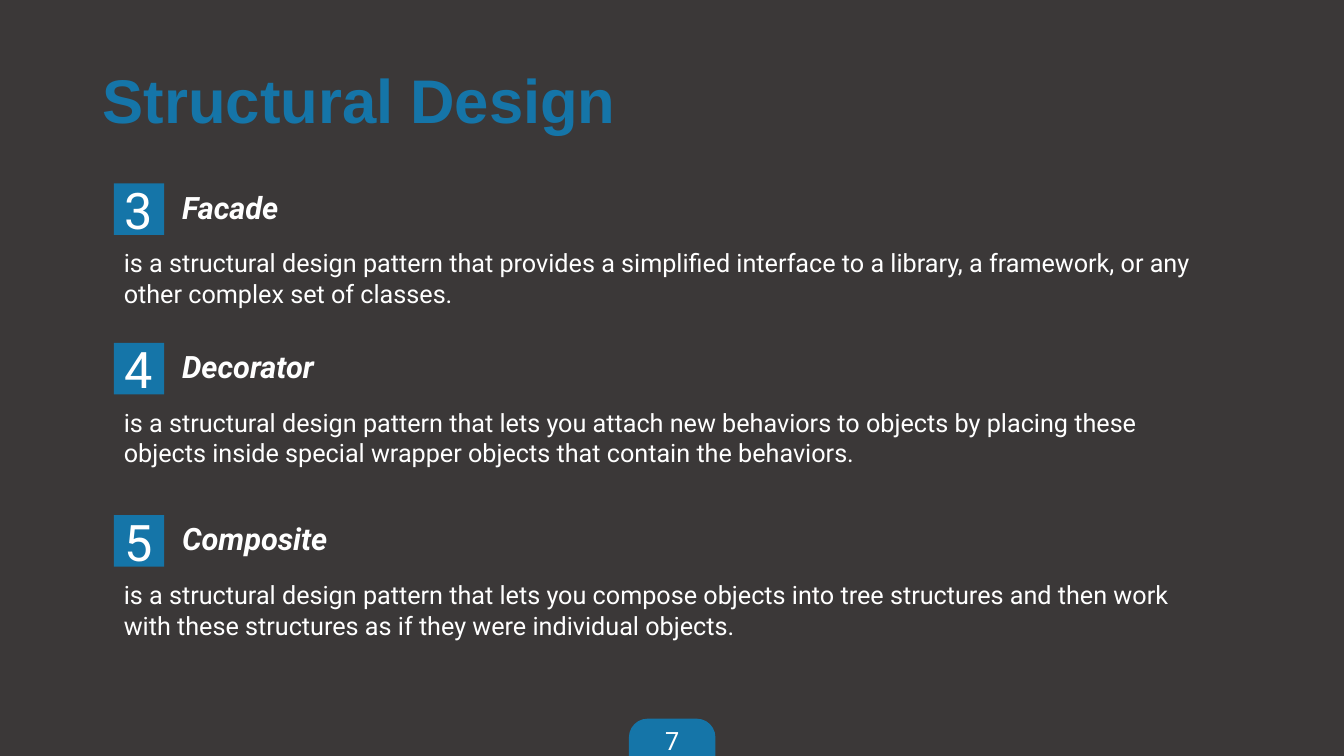
from dataclasses import dataclass

import pptx
import pptx.dml.color
import pptx.enum.shapes
import pptx.enum.text
import pptx.util

Cm = pptx.util.Cm
Shapes = pptx.enum.shapes.MSO_SHAPE
Align = pptx.enum.text.PP_ALIGN
Anchor = pptx.enum.text.MSO_ANCHOR


@dataclass(frozen=True)
class Theme:
    background: str = "3B3838"
    accent: str = "1575A8"
    light: str = "FFFFFF"
    title_font: str = "Arial"
    body_font: str = "Roboto"
    title_size: int = 44
    number_size: int = 36
    name_size: int = 22
    body_size: int = 18


theme = Theme()


def write(box, text, size, font=theme.body_font, color=theme.light,
          bold=False, italic=False, align=Align.LEFT, anchor=Anchor.TOP):
    frame = box.text_frame
    frame.word_wrap = True
    frame.vertical_anchor = anchor
    para = frame.paragraphs[0]
    para.text = text
    para.alignment = align
    para.font.name = font
    para.font.size = pptx.util.Pt(size)
    para.font.bold = bold
    para.font.italic = italic
    para.font.color.rgb = pptx.dml.color.RGBColor.from_string(color)
    return para


def add_label(kind, left, top, width, height, text, size):
    shape = page.shapes.add_shape(kind, Cm(left), Cm(top), Cm(width), Cm(height))
    shape.shadow.inherit = False
    shape.fill.solid()
    shape.fill.fore_color.rgb = pptx.dml.color.RGBColor.from_string(theme.accent)
    shape.line.fill.background()
    write(shape, text, size, align=Align.CENTER, anchor=Anchor.MIDDLE)
    return shape


# Deck and blank page
deck = pptx.Presentation()
deck.slide_width, deck.slide_height = Cm(33.87), Cm(19.05)
page = deck.slides.add_slide(deck.slide_layouts[6])
page.background.fill.solid()
page.background.fill.fore_color.rgb = pptx.dml.color.RGBColor.from_string(theme.background)

# Page number tab
tab = add_label(Shapes.ROUND_2_SAME_RECTANGLE, 15.85, 18.11, 2.18, 0.94,
                "7", theme.body_size)
tab.adjustments[0] = 0.5

# Title
title = page.shapes.add_textbox(Cm(2.34), Cm(0.76), Cm(29.21), Cm(3.68))
heading = write(title, "Structural Design", theme.title_size, theme.title_font,
                theme.accent, bold=True, anchor=Anchor.MIDDLE)
heading.line_spacing = 0.9

# Patterns: top, name width, description height, name, description
patterns = [
    (4.62, 4.17, 2.57, "Facade",
     "is a structural design pattern that provides a simplified interface to a "
     "library, a framework, or any other complex set of classes."),
    (8.64, 4.17, 2.57, "Decorator",
     "is a structural design pattern that lets you attach new behaviors to objects "
     "by placing these objects inside special wrapper objects that contain the behaviors."),
    (12.98, 5.33, 1.8, "Composite",
     "is a structural design pattern that lets you compose objects into tree structures "
     "and then work with these structures as if they were individual objects."),
]
for number, (top, name_width, height, name, description) in enumerate(patterns, start=3):
    add_label(Shapes.RECTANGLE, 2.87, top, 1.27, 1.3, str(number), theme.number_size)
    name_box = page.shapes.add_textbox(Cm(4.34), Cm(top), Cm(name_width), Cm(1.27))
    write(name_box, name, theme.name_size, bold=True, italic=True)
    body_box = page.shapes.add_textbox(Cm(2.87), Cm(top + 1.5), Cm(27.69), Cm(height))
    write(body_box, description, theme.body_size)

deck.save("out.pptx")
